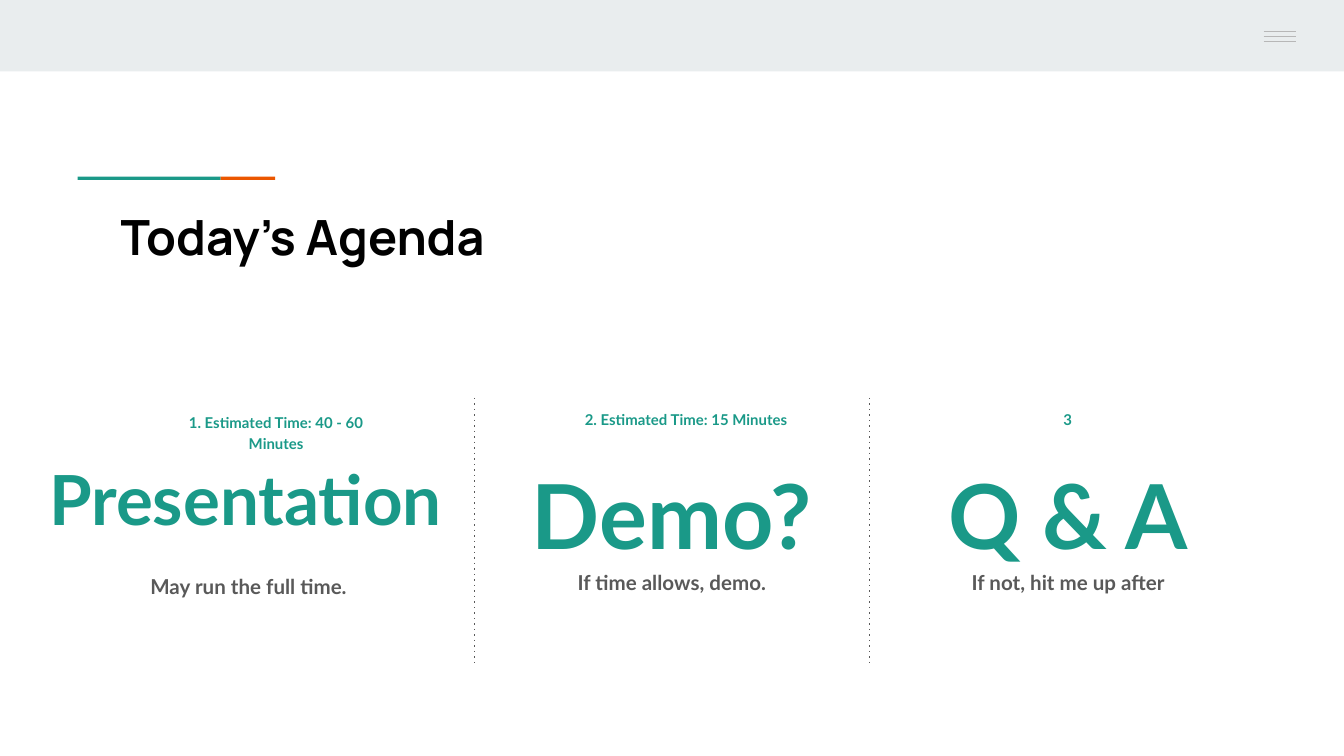
from lxml.etree import SubElement
from pptx import Presentation
from pptx.dml.color import RGBColor
from pptx.enum.shapes import MSO_CONNECTOR, MSO_SHAPE
from pptx.enum.text import PP_ALIGN
from pptx.oxml.ns import qn
from pptx.util import Cm, Pt

HUES = {
    "band": "E9EDEE",
    "teal": "1A9988",
    "orange": "EB5600",
    "menu": "B7B7B7",
    "gray": "595959",
    "black": "000000",
}

deck = Presentation()
deck.slide_width, deck.slide_height = Cm(25.4), Cm(14.29)
slide = deck.slides.add_slide(deck.slide_layouts[6])
shapes = slide.shapes


def add_text(text, left, top, width, height, size, hue, font="Lato"):
    """Add a bold one-run text box and return its paragraph."""
    box = shapes.add_textbox(Cm(left), Cm(top), Cm(width), Cm(height))
    frame = box.text_frame
    frame.word_wrap = True
    frame.margin_left = frame.margin_right = Cm(0.25)
    frame.margin_top = frame.margin_bottom = Cm(0.25)
    para = frame.paragraphs[0]
    run = para.add_run()
    run.text = text
    run.font.name = font
    run.font.size = Pt(size)
    run.font.bold = True
    run.font.color.rgb = RGBColor.from_string(HUES[hue])
    return para


def add_line(x1, y1, x2, y2, hue, dash=None):
    line = shapes.add_connector(
        MSO_CONNECTOR.STRAIGHT, Cm(x1), Cm(y1), Cm(x2), Cm(y2))
    line.line.width = Pt(0.75)
    line.line.color.rgb = RGBColor.from_string(HUES[hue])
    props = line._element.spPr
    if dash:
        SubElement(props.find(qn("a:ln")), qn("a:prstDash")).set("val", dash)
    SubElement(props, qn("a:effectLst"))


# Top band and the two-colour accent bar
bars = [
    (0, 0, 25.4, 1.35, "band"),
    (1.47, 3.34, 2.7, 0.06, "teal"),
    (4.17, 3.34, 1.03, 0.06, "orange"),
]
for left, top, width, height, hue in bars:
    bar = shapes.add_shape(
        MSO_SHAPE.RECTANGLE, Cm(left), Cm(top), Cm(width), Cm(height))
    bar.shadow.inherit = False
    bar.fill.solid()
    bar.fill.fore_color.rgb = RGBColor.from_string(HUES[hue])
    bar.line.fill.background()

# Menu icon
for row in range(3):
    y = 0.6 + row * 0.09
    add_line(23.88, y, 24.49, y, "menu")

add_text("Today’s Agenda", 2.03, 3.66, 7.77, 2.87, 26, "black", "Manrope")

# Agenda columns: each text with its left edge, then what differs
columns = [
    (("1. Estimated Time: 40 - 60 Minutes", 2.77),
     ("Presentation", 0.46, 8.36, 37),
     ("May run the full time.", 1.83, 10.54)),
    (("2. Estimated Time: 15 Minutes", 10.52),
     ("Demo?", 9.5, 6.4, 48),
     ("If time allows, demo.", 9.83, 10.46)),
    (("3", 17.73),
     ("Q & A", 16.99, 6.4, 48),
     ("If not, hit me up after", 17.32, 10.46)),
]
for (time, time_x), (name, name_x, width, size), (note, note_x, note_y) in columns:
    paras = [
        add_text(time, time_x, 7.52, 4.9, 0.64, 8, "teal"),
        add_text(name, name_x, 8.15, width, 2.64, size, "teal"),
        add_text(note, note_x, note_y, 5.74, 2.06, 11, "gray"),
    ]
    for para in paras:
        para.alignment = PP_ALIGN.CENTER
        para.line_spacing = 1.15
        para.space_after = Pt(16)

# Column dividers
for x in (8.97, 16.43):
    add_line(x, 7.52, x, 12.6, "gray", "dot")

deck.save("out.pptx")
